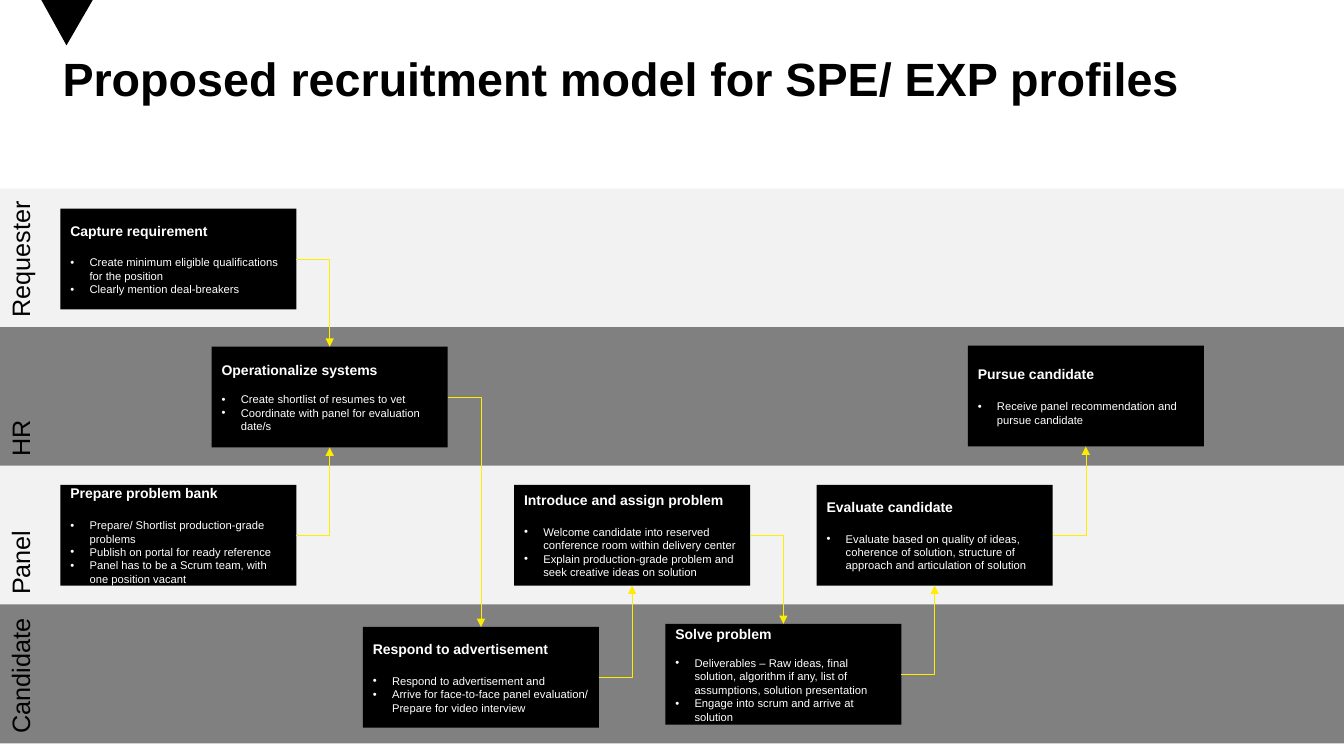
from pptx import Presentation
from pptx import util as u
from pptx.dml.color import RGBColor
from pptx.enum import shapes, text
from pptx.oxml import ns, xmlchemy

BLACK = RGBColor(0, 0, 0)
WHITE = RGBColor(255, 255, 255)
LIGHT = RGBColor(0xF2, 0xF2, 0xF2)
GREY = RGBColor(0x80, 0x80, 0x80)
YELLOW = RGBColor(0xFF, 0xED, 0)

WIDE, HIGH = 13.33, 7.5
LANE_TOP, LANE_STEP, LANE_HIGH = 1.87, 5.5 / 4, 1.38
BOX_LEFT, BOX_STEP, BOX_WIDE, BOX_HIGH = 0.6, 1.5, 2.34, 1
INDENT = 0.19
RIGHT, TOP, BOTTOM = 3, 0, 2

LANES = [("Requester", LIGHT), ("HR", GREY), ("Panel", LIGHT), ("Candidate", GREY)]

# key: column, top, gap under the heading, heading, bullets
STEPS = {
    "capture": (0, 2.07, 12, "Capture requirement", [
        "Create minimum eligible qualifications for the position",
        "Clearly mention deal-breakers"]),
    "bank": (0, 4.81, 12, "Prepare problem bank", [
        "Prepare/ Shortlist production-grade problems",
        "Publish on portal for ready reference",
        "Panel has to be a Scrum team, with one position vacant"]),
    "systems": (1, 3.44, 10, "Operationalize systems", [
        "Create shortlist of resumes to vet",
        "Coordinate with panel for evaluation date/s"]),
    "respond": (2, 6.22, 12, "Respond to advertisement", [
        "Respond to advertisement and",
        "Arrive for face-to-face panel evaluation/ Prepare for video interview"]),
    "assign": (3, 4.81, 12, "Introduce and assign problem", [
        "Welcome candidate into reserved conference room within delivery center",
        "Explain production-grade problem and seek creative ideas on solution"]),
    "solve": (4, 6.19, 10, "Solve problem", [
        "Deliverables – Raw ideas, final solution, algorithm if any, list of "
        "assumptions, solution presentation",
        "Engage into scrum and arrive at solution"]),
    "judge": (5, 4.81, 12, "Evaluate candidate", [
        "Evaluate based on quality of ideas, coherence of solution, structure of "
        "approach and articulation of solution"]),
    "pursue": (6, 3.43, 12, "Pursue candidate", [
        "Receive panel recommendation and pursue candidate"]),
}

FLOWS = [("capture", "systems"), ("bank", "systems"), ("systems", "respond"),
         ("respond", "assign"), ("assign", "solve"), ("solve", "judge"),
         ("judge", "pursue")]


def add_tag(node, tag, **attrs):
    """Append a drawing element with the given attributes."""
    child = xmlchemy.OxmlElement(tag)
    for name, value in attrs.items():
        child.set(name, value)
    node.append(child)


class Board:
    """Holds the style and the current slide."""
    font = "Arial"

    def __init__(self, slide):
        """Keep the shapes of the slide to draw on."""
        self.items = slide.shapes

    def fill(self, shape, color):
        """Give a shape a flat fill without line or shadow."""
        shape.shadow.inherit = False
        shape.fill.solid()
        shape.fill.fore_color.rgb = color
        shape.line.fill.background()
        return shape

    def rect(self, left, top, wide, high, color):
        """Draw a plain rectangle."""
        size = [u.Inches(n) for n in (left, top, wide, high)]
        return self.fill(self.items.add_shape(shapes.MSO_SHAPE.RECTANGLE, *size), color)

    def mark(self, points):
        """Draw a black closed outline."""
        first, *rest = [(u.Inches(x), u.Inches(y)) for x, y in points]
        outline = self.items.build_freeform(*first)
        outline.add_line_segments(rest, close=True)
        self.fill(outline.convert_to_shape(), BLACK)

    def label(self, para, words, size, color, bold=False, **form):
        """Fill a paragraph with one run of text."""
        for name, value in {"alignment": text.PP_ALIGN.LEFT, **form}.items():
            setattr(para, name, value)
        run = para.add_run()
        run.text = words
        looks = {"name": self.font, "size": u.Pt(size), "bold": bold}
        for name, value in looks.items():
            setattr(run.font, name, value)
        run.font.color.rgb = color

    def title(self, words):
        """Add the slide heading."""
        size = [u.Inches(n) for n in (0.62, 0.58, 12.08, 1.29)]
        frame = self.items.add_textbox(*size).text_frame
        frame.word_wrap = True
        for side in ("left", "top", "right", "bottom"):
            setattr(frame, "margin_" + side, 0)
        self.label(frame.paragraphs[0], words, 33.3, BLACK, True, line_spacing=0.85)

    def lane(self, row, name, color):
        """Draw a swim lane with its name turned upwards."""
        band = self.rect(0, LANE_TOP + row * LANE_STEP, WIDE, LANE_HIGH, color)
        frame = band.text_frame
        frame.vertical_anchor = text.MSO_ANCHOR.TOP
        frame._txBody.bodyPr.set("vert", "vert270")
        self.label(frame.paragraphs[0], name, 18, BLACK)

    def step(self, col, top, gap, head, notes):
        """Draw a process box with a heading and bullets."""
        box = self.rect(BOX_LEFT + col * BOX_STEP, top, BOX_WIDE, BOX_HIGH, BLACK)
        frame = box.text_frame
        frame.word_wrap = True
        frame.vertical_anchor = text.MSO_ANCHOR.MIDDLE
        self.label(frame.paragraphs[0], head, 10, WHITE, True, space_after=u.Pt(gap))
        for note in notes:
            para = frame.add_paragraph()
            self.label(para, note, 8, WHITE)
            props = para._p.get_or_add_pPr()
            props.set("marL", str(u.Inches(INDENT)))
            props.set("indent", str(-u.Inches(INDENT)))
            add_tag(props, "a:buFont", typeface=self.font)
            add_tag(props, "a:buChar", char="•")
        return box

    def flow(self, start, end):
        """Join the right side of one box to the near edge of another."""
        line = self.items.add_connector(shapes.MSO_CONNECTOR.ELBOW, 0, 0, 0, 0)
        line.begin_connect(start, RIGHT)
        line.end_connect(end, TOP if end.top > start.top else BOTTOM)
        line.line.color.rgb = YELLOW
        line.line.width = u.Pt(0.5)
        props = line._element.spPr
        props.find(ns.qn("a:prstGeom")).set("prst", "bentConnector2")
        add_tag(line.line._get_or_add_ln(), "a:tailEnd", type="triangle")
        add_tag(props, "a:effectLst")


deck = Presentation()
deck.slide_width, deck.slide_height = u.Inches(WIDE), u.Inches(HIGH)
board = Board(deck.slides.add_slide(deck.slide_layouts[6]))

board.mark([(0.41, 0), (0.66, 0.45), (0.92, 0)])
board.title("Proposed recruitment model for SPE/ EXP profiles")
for row, (name, color) in enumerate(LANES):
    board.lane(row, name, color)
boxes = {key: board.step(*step) for key, step in STEPS.items()}
for start, end in FLOWS:
    board.flow(boxes[start], boxes[end])

deck.save("out.pptx")
